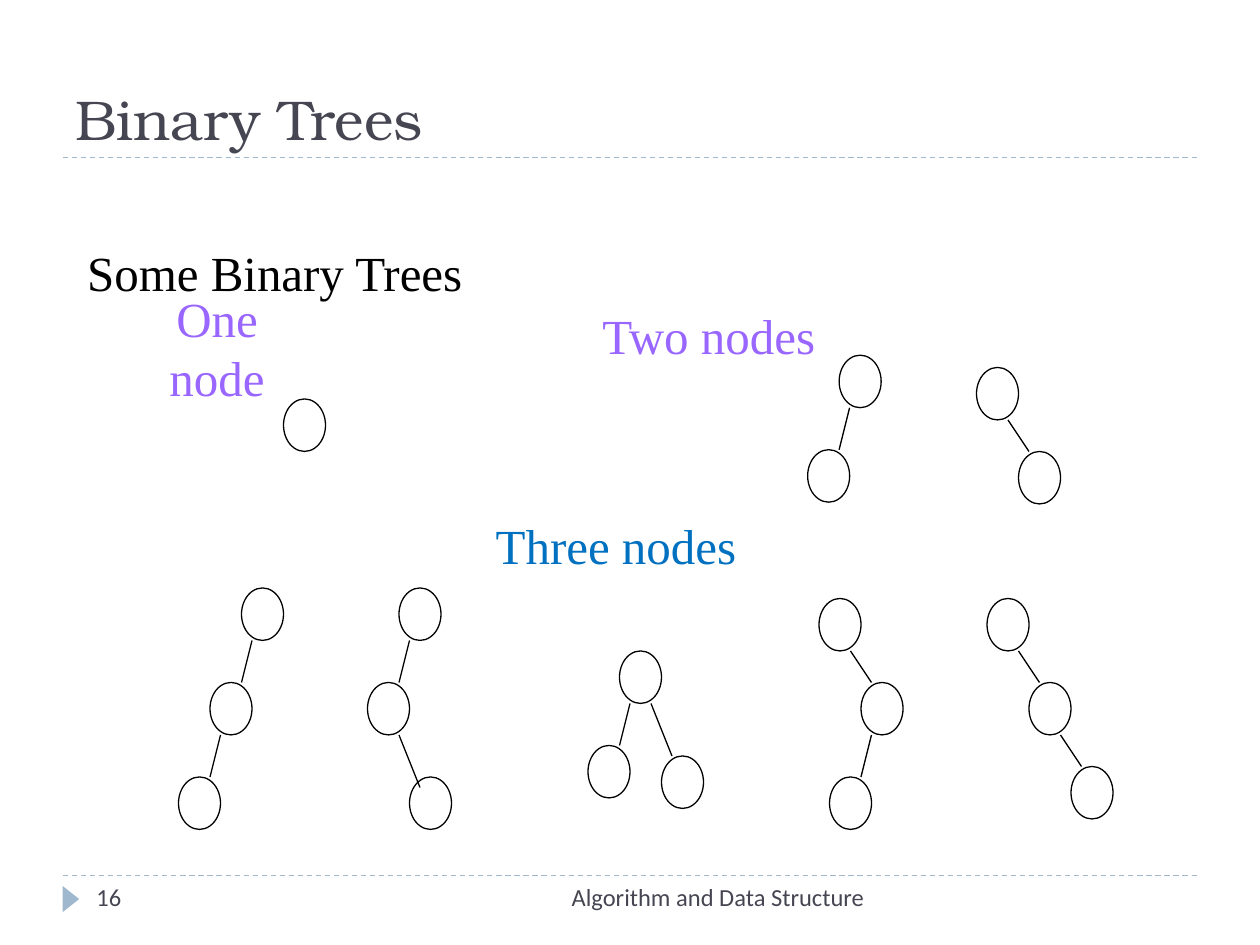
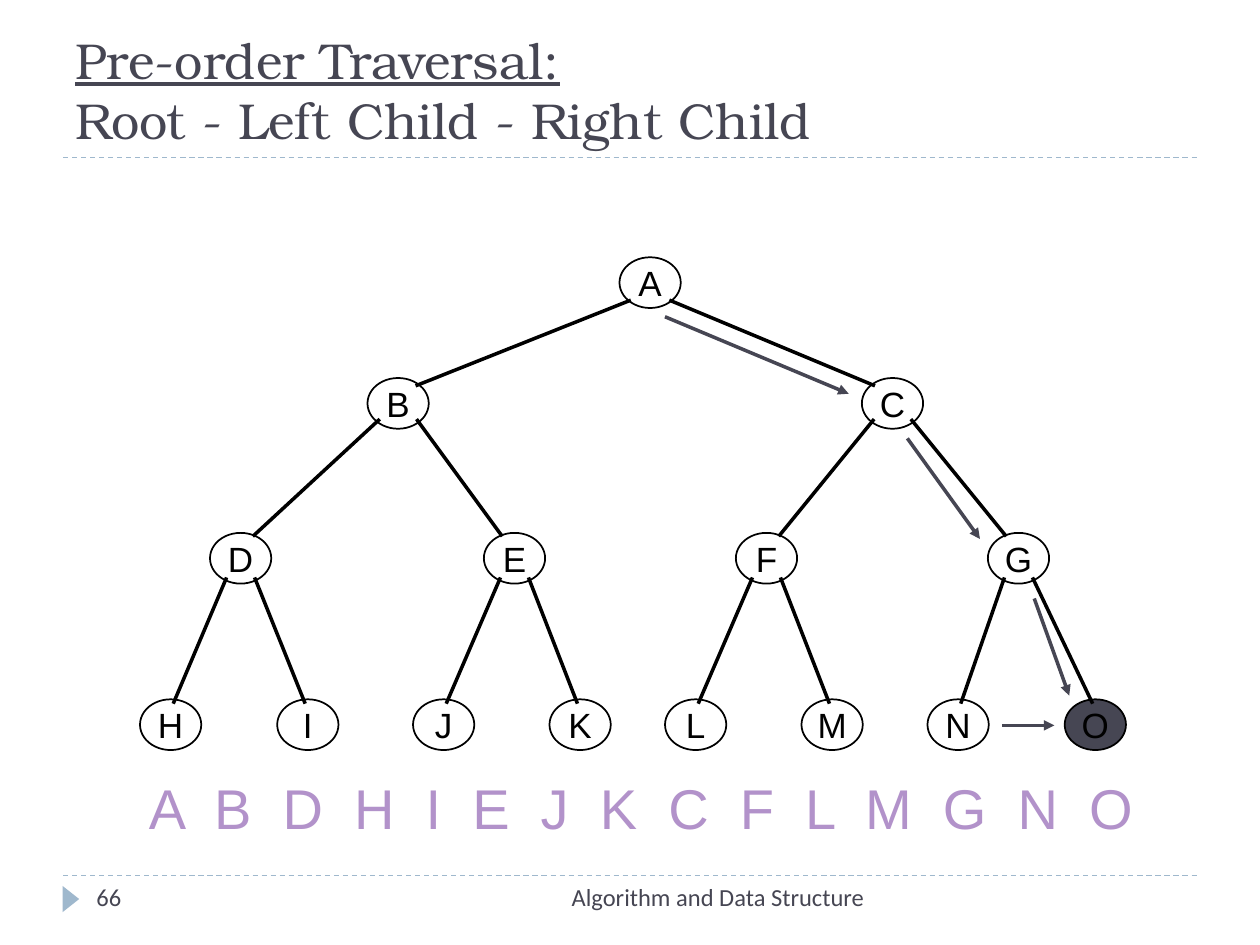
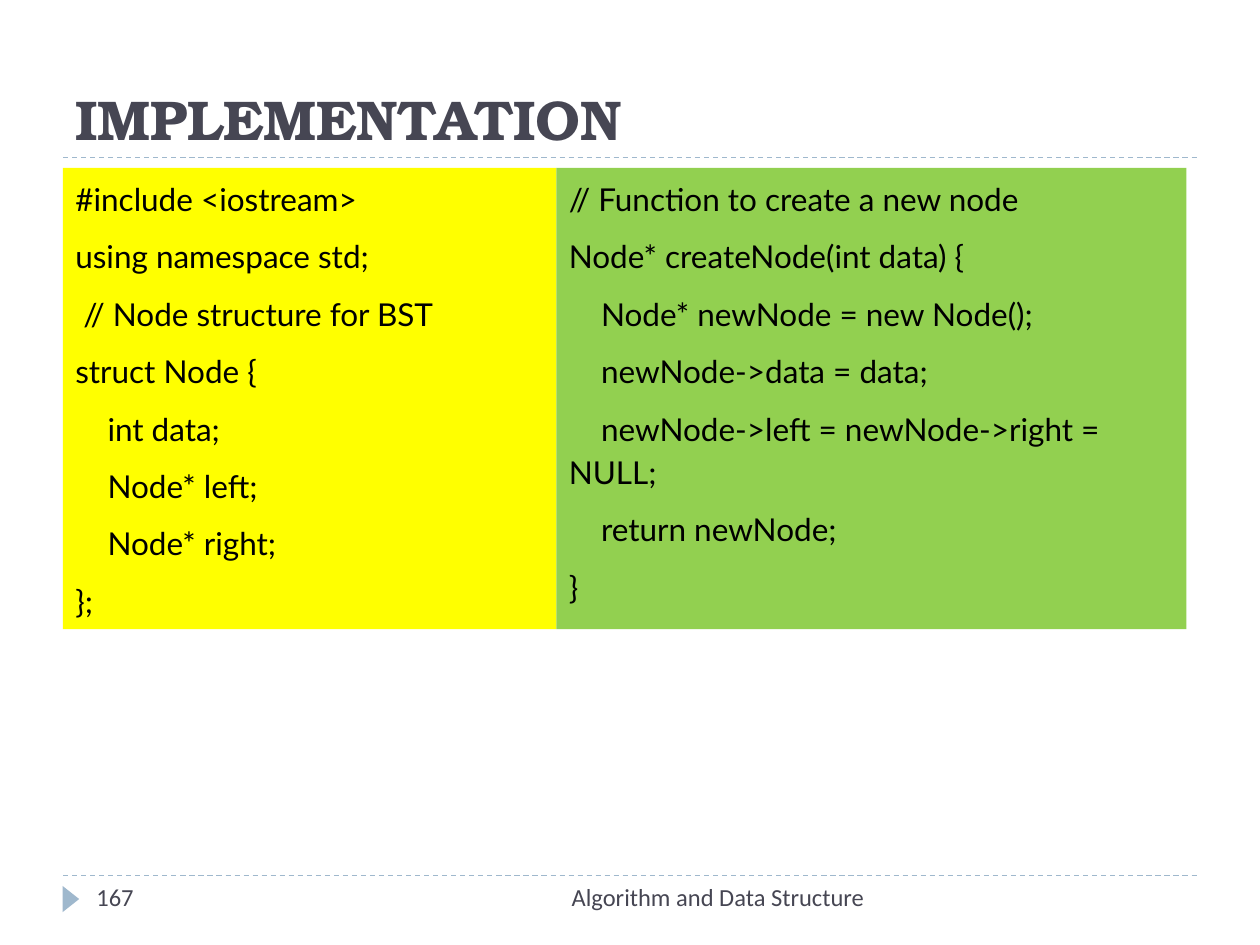
import dataclasses

import lxml.etree
import pptx
import pptx.dml.color
import pptx.enum.dml
import pptx.enum.shapes
import pptx.enum.text
import pptx.oxml.ns
import pptx.util

Pt = pptx.util.Pt
ALIGN = pptx.enum.text.PP_ALIGN
ANCHOR = pptx.enum.text.MSO_ANCHOR
SHAPE = pptx.enum.shapes.MSO_SHAPE
DASH = pptx.enum.dml.MSO_LINE.DASH


@dataclasses.dataclass(frozen=True)
class Theme:
    ink: str = "464653"
    accent: str = "9FB8CD"
    black: str = "000000"
    white: str = "FFFFFF"
    violet: str = "9966FF"
    blue: str = "0070C0"
    lilac: str = "B292CA"
    yellow: str = "FFFF00"
    green: str = "92D050"
    title: tuple = ("TeX Gyre Bonum", 32)
    long_title: tuple = ("TeX Gyre Bonum", 28.8)
    label: tuple = ("Times New Roman", 28)
    node: tuple = ("Arial", 20)
    sequence: tuple = ("Arial", 32)
    code: tuple = ("Lato", 18)
    footer: tuple = ("Calibri", 14)


THEME = Theme()
COURSE = "Algorithm and Data Structure"


@dataclasses.dataclass(frozen=True)
class Branch:
    """A child hung from an earlier node; overlap lets its link enter the child."""
    parent: int
    dx: float
    dy: float
    overlap: float = 0


def left(parent):
    return Branch(parent, -18, 54)


def right(parent, dy=48, overlap=0):
    return Branch(parent, 24, dy, overlap)


SMALL_TREES = [
    (162, 228, []),
    (479.5, 203, [left(0)]),
    (558, 210, [right(0)]),
    (138, 336, [left(0), left(1)]),
    (228, 336, [left(0), right(1, 54, 6)]),
    (354, 372, [left(0), right(0, 60)]),
    (468, 342, [right(0), left(1)]),
    (564, 342, [right(0), right(1)]),
]
SMALL_NODE = (24, 30)

TREE_NODE = (35, 29)
# Each level: top, then the left edge of every node.
TREE_LEVELS = [
    (147, [354]),
    (216, [210, 492.5]),
    (304.5, [120, 276.5, 420.5, 564.5]),
    (399.6, [80, 158.4, 236, 314, 380, 458, 530, 608.4]),
]
# Where links leave a parent and reach a child, measured from their centres.
LINK_ENDS = [((11, 10), (10, 10)), ((10.5, 9), (7, 12.5)), ((8, 11), (1.5, 12))]
VISIT_ARROWS = [
    ((591, 342), (611, 397.5)),
    ((380, 181), (485, 225)),
    ((518.5, 250.5), (560, 308)),
    ((572.5, 414.5), (602.5, 414.5)),
]

NODE_CODE = """#include <iostream>
using namespace std;
 // Node structure for BST
struct Node {
    int data;
    Node* left;
    Node* right;
};"""
CREATE_CODE = """// Function to create a new node
Node* createNode(int data) {
    Node* newNode = new Node();
    newNode->data = data;
    newNode->left = newNode->right = NULL;
    return newNode;
}"""


def rgb(colour):
    return pptx.dml.color.RGBColor.from_string(colour)


def apply(target, formats):
    for attribute, value in formats.items():
        setattr(target, attribute, value)


def write(paragraph, text, style, colour, **formats):
    name, size = style
    run = paragraph.add_run()
    run.text = text
    apply(run.font, {"name": name, "size": Pt(size), **formats})
    run.font.color.rgb = rgb(colour)
    return run


def text_box(slide, box, **formats):
    """Add an empty text box and return its first paragraph."""
    frame = slide.shapes.add_textbox(*map(Pt, box)).text_frame
    apply(frame, {"word_wrap": True, **formats})
    return frame.paragraphs[0]


def solid(slide, kind, box, fill, outline=None, width=1):
    shape = slide.shapes.add_shape(kind, *map(Pt, box))
    shape.shadow.inherit = False
    shape.fill.solid()
    shape.fill.fore_color.rgb = rgb(fill)
    if outline:
        shape.line.color.rgb = rgb(outline)
        shape.line.width = Pt(width)
    else:
        shape.line.fill.background()
    return shape


def link(slide, start, end, colour, width, arrow=False, dashed=False):
    connector = slide.shapes.add_connector(
        pptx.enum.shapes.MSO_CONNECTOR.STRAIGHT, *map(Pt, (*start, *end)))
    connector.line.color.rgb = rgb(colour)
    connector.line.width = Pt(width)
    if dashed:
        connector.line.dash_style = DASH
    if arrow:
        lxml.etree.SubElement(connector.line._get_or_add_ln(),
                              pptx.oxml.ns.qn("a:tailEnd"), type="triangle")
    lxml.etree.SubElement(connector._element.spPr, pptx.oxml.ns.qn("a:effectLst"))


def new_slide(deck, number):
    """Add a blank slide with the shared rules, marker and footer."""
    slide = deck.slides.add_slide(deck.slide_layouts[6])
    for y in (500.4, 90):
        link(slide, (36, y), (684, y), THEME.accent, 0.75, dashed=True)
    marker = solid(slide, SHAPE.ISOSCELES_TRIANGLE, (33, 509, 15, 9.5), THEME.accent)
    marker.rotation = 90
    course = text_box(slide, (228, 500.4, 273, 29))
    course.alignment = ALIGN.RIGHT
    write(course, COURSE, THEME.footer, THEME.ink)
    write(text_box(slide, (48, 500.4, 156, 29)), str(number), THEME.footer, THEME.ink)
    return slide


def title(slide, anchor=ANCHOR.BOTTOM):
    return text_box(slide, (36, 12, 648, 78), vertical_anchor=anchor)


def tree_label(slide, text, box, colour):
    label = text_box(slide, box, word_wrap=False, vertical_anchor=ANCHOR.MIDDLE)
    label.alignment = ALIGN.CENTER
    write(label, text, THEME.label, colour)


def small_tree(slide, x, y, branches):
    width, height = SMALL_NODE
    corners = [(x, y)]
    for branch in branches:
        parent_x, parent_y = corners[branch.parent]
        corners.append((parent_x + branch.dx, parent_y + branch.dy))
    for corner in corners:
        solid(slide, SHAPE.OVAL, (*corner, *SMALL_NODE), THEME.white, THEME.black, 0.75)
    for branch, (child_x, child_y) in zip(branches, corners[1:]):
        parent_x, parent_y = corners[branch.parent]
        leave, reach = (6, 18) if branch.dx < 0 else (18, 6)
        link(slide, (parent_x + leave, parent_y + height),
             (child_x + reach, child_y + branch.overlap), THEME.black, 0.75)


def letter_node(slide, letter, corner, fill):
    node = solid(slide, SHAPE.OVAL, (*corner, *TREE_NODE), fill, THEME.black)
    frame = node.text_frame
    apply(frame, {"word_wrap": False, "vertical_anchor": ANCHOR.MIDDLE,
                  "margin_left": 0, "margin_right": 0,
                  "margin_top": 0, "margin_bottom": 0})
    frame.paragraphs[0].alignment = ALIGN.CENTER
    write(frame.paragraphs[0], letter, THEME.node, THEME.black)


def letter_tree(slide, visited):
    corners = [(x, top) for top, row in TREE_LEVELS for x in row]
    for letter, corner in zip("ABCDEFGHIJKLMNO", corners):
        fill = THEME.ink if letter == visited else THEME.white
        letter_node(slide, letter, corner, fill)
    width, height = TREE_NODE
    centres = [(x + width / 2, y + height / 2) for x, y in corners]
    for child in range(1, len(centres)):
        parent = (child - 1) // 2
        level = (parent + 1).bit_length() - 1
        side = -1 if child % 2 else 1
        (leave_x, leave_y), (reach_x, reach_y) = LINK_ENDS[level]
        (from_x, from_y), (to_x, to_y) = centres[parent], centres[child]
        link(slide, (from_x + side * leave_x, from_y + leave_y),
             (to_x - side * reach_x, to_y - reach_y), THEME.black, 2)


def visit_sequence(slide, letters):
    """Write the visited letters, spread by character spacing, with a shadow."""
    line = text_box(slide, (78, 438.5, 590, 45), word_wrap=False)
    line.alignment = ALIGN.LEFT
    run = write(line, " ".join(letters), THEME.sequence, THEME.lilac)
    properties = run.font._element
    properties.set("spc", "445")
    effects = lxml.etree.Element(pptx.oxml.ns.qn("a:effectLst"))
    shadow = lxml.etree.SubElement(effects, pptx.oxml.ns.qn("a:outerShdw"),
                                   dist="25400", dir="2700000")
    lxml.etree.SubElement(shadow, pptx.oxml.ns.qn("a:srgbClr"), val=THEME.black)
    properties.find(pptx.oxml.ns.qn("a:solidFill")).addnext(effects)


def code_panel(slide, code, x, width, fill):
    frame = solid(slide, SHAPE.RECTANGLE, (x, 96, width, 263.5), fill).text_frame
    apply(frame, {"word_wrap": True, "vertical_anchor": ANCHOR.TOP})
    for index, line in enumerate(code.splitlines()):
        paragraph = frame.add_paragraph() if index else frame.paragraphs[0]
        apply(paragraph, {"alignment": ALIGN.LEFT, "line_spacing": 1.15,
                          "space_after": Pt(8)})
        write(paragraph, line, THEME.code, THEME.black)


def binary_trees_slide(deck):
    slide = new_slide(deck, 16)
    write(title(slide), "Binary Trees", THEME.title, THEME.ink)
    tree_label(slide, "Some Binary Trees", (42, 135, 230, 41), THEME.black)
    tree_label(slide, "One node", (63, 178, 122, 41), THEME.violet)
    tree_label(slide, "Two nodes", (336, 171, 138, 41), THEME.violet)
    tree_label(slide, "Three nodes", (276, 291, 152, 41), THEME.blue)
    for tree in SMALL_TREES:
        small_tree(slide, *tree)


def traversal_slide(deck):
    slide = new_slide(deck, 66)
    heading = title(slide, ANCHOR.MIDDLE)
    write(heading, "Pre-order Traversal:", THEME.long_title, THEME.ink, underline=True)
    heading.add_line_break()
    write(heading, "Root - Left Child - Right Child", THEME.long_title, THEME.ink)
    letter_tree(slide, visited="O")
    for start, end in VISIT_ARROWS:
        link(slide, start, end, THEME.ink, 2, arrow=True)
    visit_sequence(slide, "ABDHIEJKCFLMGNO")


def implementation_slide(deck):
    slide = new_slide(deck, 167)
    write(title(slide), "IMPLEMENTATION", THEME.title, THEME.ink, bold=True)
    code_panel(slide, NODE_CODE, 36, 282, THEME.yellow)
    code_panel(slide, CREATE_CODE, 318, 360, THEME.green)


def main():
    deck = pptx.Presentation()
    apply(deck, {"slide_width": Pt(720), "slide_height": Pt(540)})
    binary_trees_slide(deck)
    traversal_slide(deck)
    implementation_slide(deck)
    deck.save("out.pptx")


if __name__ == "__main__":
    main()
